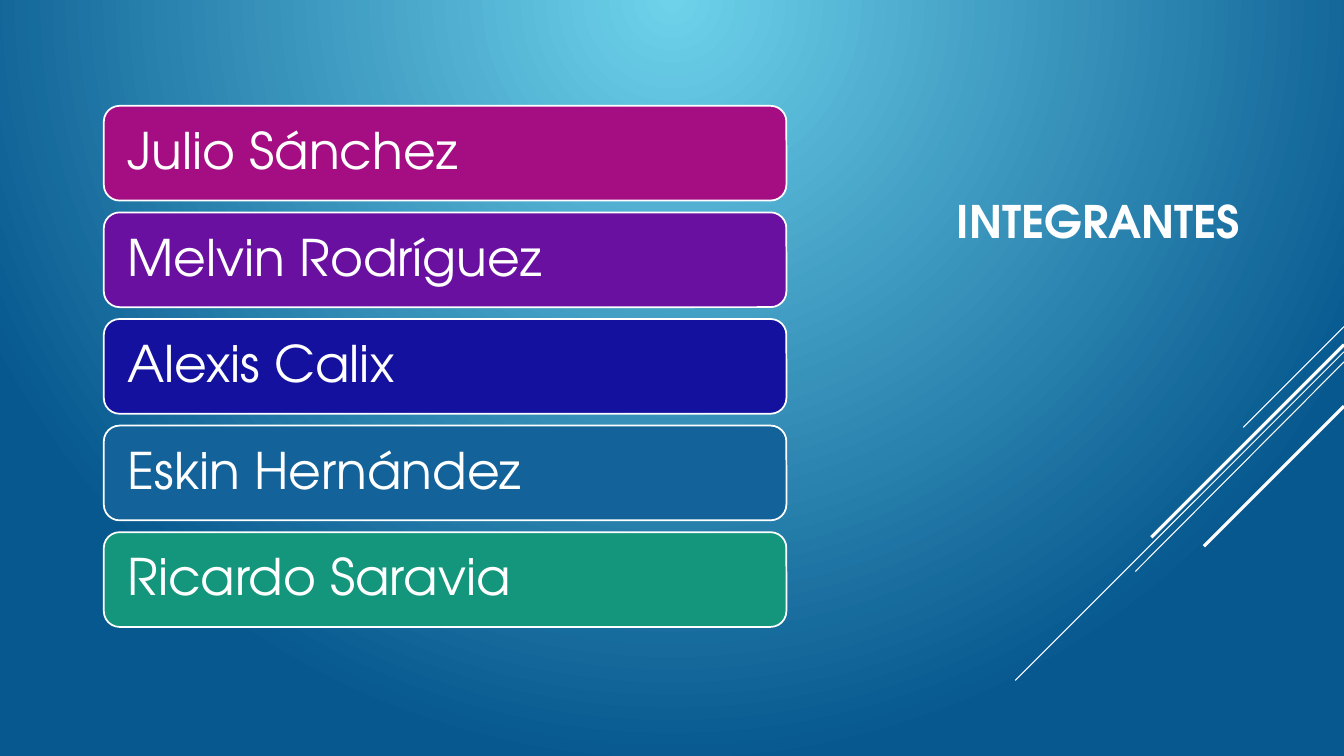
from lxml.etree import SubElement
from pptx import Presentation
from pptx.dml.color import RGBColor as RGB
from pptx.enum.shapes import MSO_CONNECTOR as CONN, MSO_SHAPE as SHAPE
from pptx.enum.text import MSO_ANCHOR as ANCHOR, PP_ALIGN as ALIGN
from pptx.oxml.ns import qn
from pptx.util import Inches, Pt

# Content
TITLE = "INTEGRANTES"
MEMBERS = [
    ("Julio Sánchez", "A50E82"),
    ("Melvin Rodríguez", "6A10A1"),
    ("Alexis Calix", "13119D"),
    ("Eskin Hernández", "13639A"),
    ("Ricardo Saravia", "14967C"),
]
# Diagonals from the right edge: start y, end x, end y, weight
DIAGONALS = [
    (3.24, 12.33, 4.24, 0.75),
    (3.49, 10.07, 6.75, 0.75),
    (3.59, 11.26, 5.67, 0.75),
    (3.42, 11.42, 5.33, 2.25),
    (4.03, 11.94, 5.42, 2.25),
]
THEME = {
    "font": "TeX Gyre Adventor",
    "white": "FFFFFF",
    "glow": "6ED2EB",
    "deep": "06588E",
    "title_size": 32,
    "name_size": 36,
    "outline": 1.25,
}

# Layout
WIDTH, HEIGHT = 13.33, 7.5
BAR_LEFT, BAR_WIDTH, BAR_HEIGHT = 1.03, 6.77, 0.94
FIRST_TOP, LAST_TOP = 1.05, 5.28
BAR_PITCH = (LAST_TOP - FIRST_TOP) / (len(MEMBERS) - 1)


def color(key):
    return RGB.from_string(THEME[key])


def set_text(sp, text, size, bold=False, inset=0.1, spacing=1.0):
    tf = sp.text_frame
    tf.word_wrap = True
    tf.vertical_anchor = ANCHOR.MIDDLE
    tf.margin_left = tf.margin_right = Inches(inset)
    p = tf.paragraphs[0]
    p.alignment = ALIGN.LEFT
    p.line_spacing = spacing
    r = p.add_run()
    r.text = text
    r.font.name = THEME["font"]
    r.font.size = Pt(size)
    r.font.bold = bold
    r.font.color.rgb = color("white")


def paint_background(s):
    fill = s.background.fill
    fill.gradient()
    for stop, key in zip(fill.gradient_stops, ("glow", "deep")):
        stop.color.rgb = color(key)
    # Radial glow centred on the top edge
    grad = s.element.find(".//" + qn("a:gradFill"))
    grad.remove(grad.find(qn("a:lin")))
    circle = SubElement(grad, qn("a:path"), {"path": "circle"})
    SubElement(circle, qn("a:fillToRect"), {"l": "0", "t": "0", "r": "0", "b": "100000"})


def add_diagonal(s, y1, x2, y2, weight):
    line = s.shapes.add_connector(
        CONN.STRAIGHT, Inches(WIDTH), Inches(y1), Inches(x2), Inches(y2))
    line.line.color.rgb = color("white")
    line.line.width = Pt(weight)
    SubElement(line.element.spPr, qn("a:effectLst"))


def add_member(s, row, name, fill):
    sp = s.shapes.add_shape(
        SHAPE.ROUNDED_RECTANGLE, Inches(BAR_LEFT), Inches(FIRST_TOP + row * BAR_PITCH),
        Inches(BAR_WIDTH), Inches(BAR_HEIGHT))
    sp.shadow.inherit = False
    sp.fill.solid()
    sp.fill.fore_color.rgb = RGB.from_string(fill)
    sp.line.color.rgb = color("white")
    sp.line.width = Pt(THEME["outline"])
    set_text(sp, name, THEME["name_size"], inset=0.19, spacing=0.9)


def main():
    prs = Presentation()
    prs.slide_width, prs.slide_height = Inches(WIDTH), Inches(HEIGHT)
    s = prs.slides.add_slide(prs.slide_layouts[6])
    paint_background(s)

    # Decorative lines
    for diagonal in DIAGONALS:
        add_diagonal(s, *diagonal)

    # Title
    title = s.shapes.add_textbox(Inches(9.39), Inches(1.03), Inches(3.54), Inches(2.31))
    set_text(title, TITLE, THEME["title_size"], bold=True)

    # Member bars
    for row, (name, fill) in enumerate(MEMBERS):
        add_member(s, row, name, fill)

    prs.save("out.pptx")


if __name__ == "__main__":
    main()
